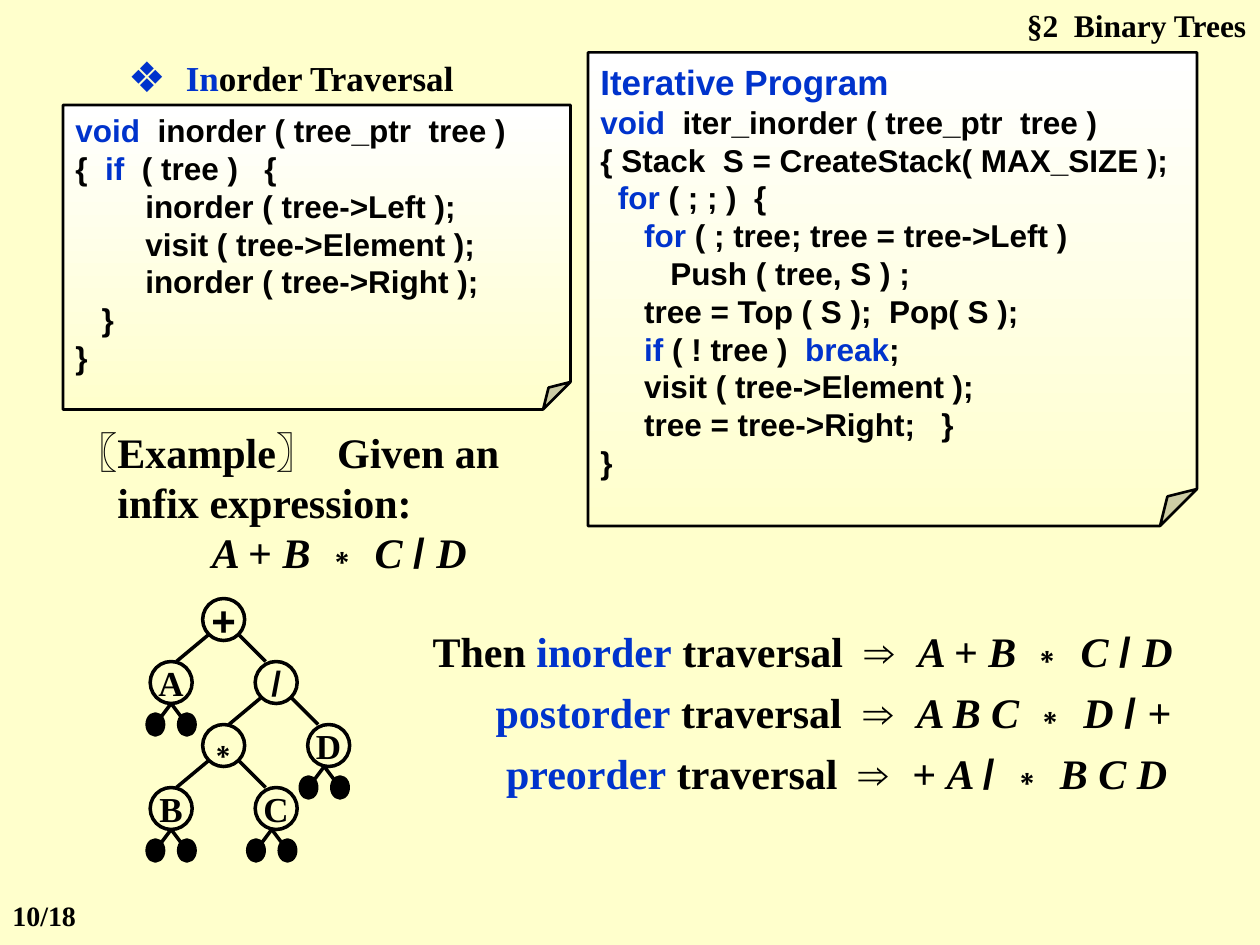
from dataclasses import dataclass

from lxml.etree import SubElement
from pptx import Presentation
from pptx.dml.color import RGBColor
from pptx.enum.shapes import MSO_CONNECTOR, MSO_SHAPE
from pptx.enum.text import MSO_ANCHOR as ANCHOR, MSO_AUTO_SIZE, PP_ALIGN as ALIGN
from pptx.oxml.ns import qn
from pptx.util import Pt

BLACK = RGBColor(0, 0, 0)
WHITE = RGBColor(255, 255, 255)
BLUE = RGBColor(0x00, 0x33, 0xCC)
CREAM = RGBColor(0xFF, 0xFF, 0xCC)
SERIF, SANS = "Times New Roman", "Arial"


@dataclass(frozen=True)
class Run:
    text: str
    color: RGBColor = BLACK
    font: str = SERIF
    italic: bool = False


@dataclass(frozen=True)
class Line:
    runs: list[Run]
    size: float = 24
    indent: float = 0


@dataclass(frozen=True)
class Node:
    label: str
    col: int
    row: int
    size: float = 20
    font: str = SERIF
    leaves_at: float | None = None  # where the leaf pair hangs, from the node's left

    @property
    def x(self) -> float:
        return 85.8 + 30 * self.col

    @property
    def y(self) -> float:
        return 342 + 36 * self.row


def marked(text: str, font: str = SERIF) -> list[Run]:
    """Split text at bars; every second piece is blue."""
    return [Run(piece, BLUE if i % 2 else BLACK, font)
            for i, piece in enumerate(text.split("|")) if piece]


def expression(text: str) -> list[Run]:
    """Italic operands, upright operators."""
    words = text.split()
    return [Run(word + (" " if i < len(words) else ""),
                font=SANS if word in "∗/" else SERIF, italic=word.isalpha())
            for i, word in enumerate(words, 1)]


def code(text: str, size: float = 18) -> list[Line]:
    return [Line(marked(row, SANS), size) for row in text.splitlines()]


def write(tf, lines: list[Line], *, align=ALIGN.LEFT, anchor=ANCHOR.TOP,
          wrap: bool = True, gap: float = 0, bullet: str = "") -> None:
    tf.auto_size = MSO_AUTO_SIZE.NONE
    tf.word_wrap, tf.vertical_anchor = wrap, anchor
    for i, line in enumerate(lines):
        p = tf.add_paragraph() if i else tf.paragraphs[0]
        pPr = p._p.get_or_add_pPr()
        pPr.set("marL", str(Pt(line.indent)))
        pPr.set("indent", str(-Pt(line.indent) if bullet else 0))
        if bullet:
            color = SubElement(pPr, qn("a:buClr"))
            SubElement(color, qn("a:srgbClr"), val=str(BLUE))
            SubElement(pPr, qn("a:buSzPct"), val="120000")
            SubElement(pPr, qn("a:buFont"), typeface=SANS)
            SubElement(pPr, qn("a:buChar"), char=bullet)
        else:
            SubElement(pPr, qn("a:buNone"))
        p.alignment = align
        p.line_spacing = Pt(line.size * 1.2)
        p.space_before = Pt(gap if i else 0)
        for run in line.runs:
            r = p.add_run()
            r.text = run.text
            f = r.font
            f.name, f.size, f.bold, f.italic = run.font, Pt(line.size), True, run.italic
            f.color.rgb = run.color


def move(sp, x: float, y: float, w: float, h: float) -> None:
    sp.left, sp.top, sp.width, sp.height = Pt(x), Pt(y), Pt(w), Pt(h)


def add_label(slide, x: float, y: float, w: float, h: float,
              lines: list[Line], **fmt) -> None:
    sp = slide.shapes.add_textbox(Pt(x), Pt(y), Pt(w), Pt(h))
    write(sp.text_frame, lines, **fmt)


def add_outlined(slide, kind, x: float, y: float, w: float, h: float, line: float):
    sp = slide.shapes.add_shape(kind, Pt(x), Pt(y), Pt(w), Pt(h))
    sp.shadow.inherit = False
    sp.line.color.rgb, sp.line.width = BLACK, Pt(line)
    return sp


def add_code_page(slide, x: float, y: float, w: float, h: float,
                  fold: int, lines: list[Line], **fmt) -> None:
    """Draw code on a page; fold is in thousandths of a percent."""
    sp = add_outlined(slide, MSO_SHAPE.FOLDED_CORNER, x, y, w, h, 1.5)
    guides = sp._element.spPr.find(qn("a:prstGeom")).get_or_add_avLst()
    SubElement(guides, qn("a:gd"), name="adj", fmla=f"val {fold}")
    sp.fill.gradient()
    sp.fill.gradient_angle = 270
    for stop, color in zip(sp.fill.gradient_stops, (WHITE, CREAM)):
        stop.color.rgb = color
    write(sp.text_frame, lines, anchor=ANCHOR.MIDDLE, **fmt)


def add_line(slide, x1: float, y1: float, x2: float, y2: float) -> None:
    s = slide.shapes.add_connector(MSO_CONNECTOR.STRAIGHT, Pt(x1), Pt(y1), Pt(x2), Pt(y2))
    s.line.color.rgb, s.line.width = BLACK, Pt(2)
    SubElement(s._element.spPr, qn("a:effectLst"))


def add_node(slide, node: Node) -> None:
    sp = add_outlined(slide, MSO_SHAPE.OVAL, node.x, node.y, 24, 24, 2)
    sp.fill.background()
    write(sp.text_frame, [Line([Run(node.label, font=node.font)], node.size)],
          align=ALIGN.CENTER, anchor=ANCHOR.MIDDLE, wrap=False)
    if node.leaves_at is None:
        return
    x, y = node.x + node.leaves_at, node.y + 24
    for dx in (-9, 9):
        add_line(slide, x, y, x + dx, y + 12)
        leaf = add_outlined(slide, MSO_SHAPE.OVAL, x + dx - 4.7, y + 6, 9.4, 12, 2)
        leaf.fill.solid()
        leaf.fill.fore_color.rgb = BLACK


def add_branch(slide, parent: Node, child: Node) -> None:
    start, end = (3, 15) if child.col < parent.col else (21, 6)
    add_line(slide, parent.x + start, parent.y + 21, child.x + end, child.y)


RECURSIVE = """\
|void|  inorder ( tree_ptr  tree )
{  |if|  ( tree )   {
        inorder ( tree->Left );
        visit ( tree->Element );
        inorder ( tree->Right );
   }
}"""
ITERATIVE = """\
|void|  iter_inorder ( tree_ptr  tree )
{ Stack  S = CreateStack( MAX_SIZE );
  |for| ( ; ; )  {
     |for| ( ; tree; tree = tree->Left )
        Push ( tree, S ) ;
     tree = Top ( S );  Pop( S );
     |if| ( ! tree )  |break|;
     visit ( tree->Element );
     tree = tree->Right;   }
}"""
PLUS = Node("+", 1, 0, 24, SANS)
A = Node("A", 0, 1, leaves_at=12)
SLASH = Node("/", 2, 1, font=SANS)
STAR = Node("∗", 1, 2, 24, SANS)
D = Node("D", 3, 2, leaves_at=9.5)
B = Node("B", 0, 3, leaves_at=12)
C = Node("C", 2, 3, leaves_at=9.5)
CHILDREN = [(PLUS, (A, SLASH)), (SLASH, (STAR, D)), (STAR, (B, C))]
TRAVERSALS = [
    ("Then |inorder| traversal  ", "A + B ∗ C / D", 0),
    ("|postorder| traversal  ", "A B C ∗ D / +", 36),
    ("|preorder| traversal  ", "+ A / ∗ B C D", 42),
]


def main() -> None:
    prs = Presentation()
    prs.slide_width, prs.slide_height = Pt(720), Pt(540)
    slide = prs.slides.add_slide(prs.slide_layouts[1])
    slide.background.fill.solid()
    slide.background.fill.fore_color.rgb = CREAM
    title, body = slide.placeholders

    move(title, 66, 24, 222, 36)
    write(title.text_frame, [Line(marked("|In|order Traversal"), 20, 33)],
          anchor=ANCHOR.BOTTOM, bullet="❖")
    add_label(slide, 545.8, 0, 173.5, 28.8,
              [Line(marked("§2  Binary Trees"), 18)], align=ALIGN.RIGHT)
    add_label(slide, 0, 510, 54, 26.4, [Line(marked("10/18"), 16)])

    add_code_page(slide, 36, 60, 290, 174, 9000, code(RECURSIVE))
    add_code_page(slide, 336, 30, 348, 270.6, 7800,
                  code("|Iterative Program", 20) + code(ITERATIVE), wrap=False)
    add_label(slide, 36, 240, 294, 93.6, [
        Line(marked("〖Example〗  Given an")),
        Line(marked("infix expression:"), indent=24),
        Line(expression("A + B ∗ C / D"), indent=78)])

    for node in (PLUS, A, SLASH, STAR, D, B, C):
        add_node(slide, node)
    for parent, children in CHILDREN:
        for child in children:
            add_branch(slide, parent, child)

    move(body, 240, 354, 438, 106)
    write(body.text_frame, [
        Line(marked(name) + [Run("⇒  ", font=SANS)] + expression(result), indent=indent)
        for name, result, indent in TRAVERSALS], gap=6)
    prs.save("out.pptx")


if __name__ == "__main__":
    main()
